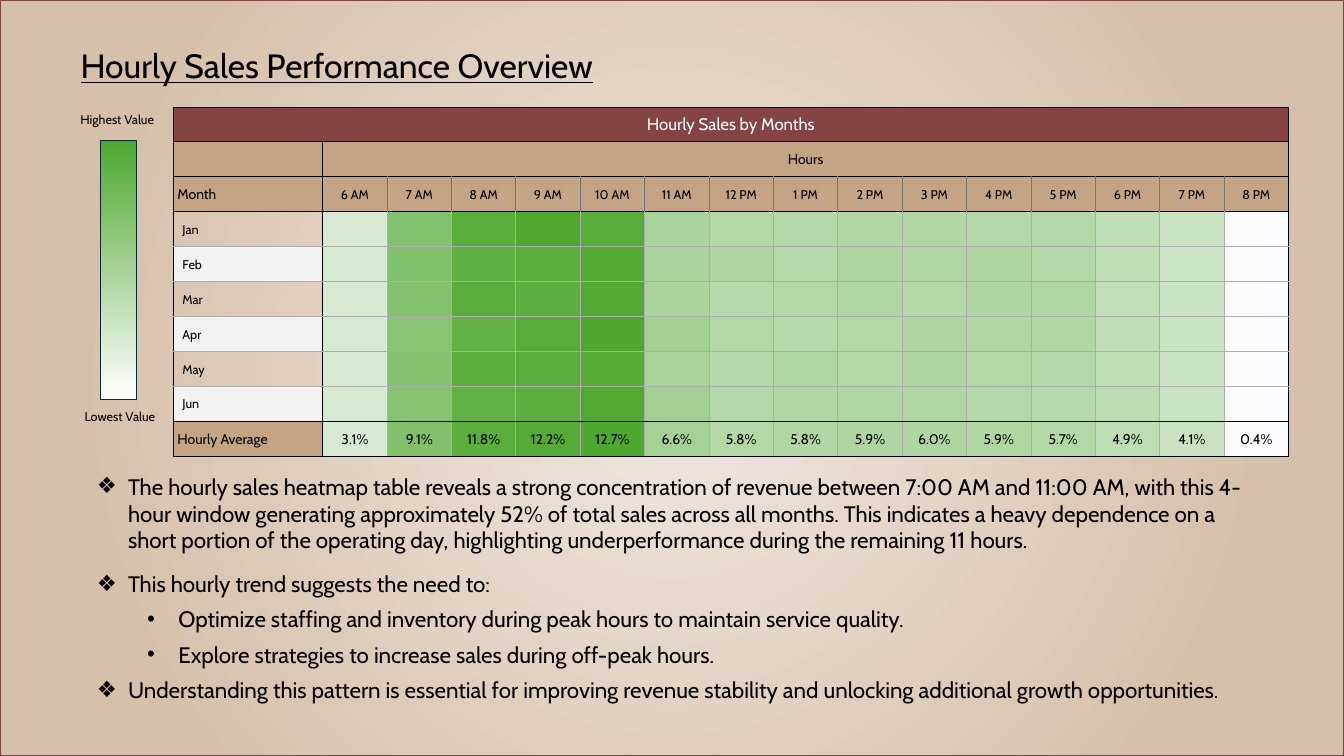
from dataclasses import dataclass
from typing import Optional

from lxml import etree
from pptx import Presentation
from pptx import util as u
from pptx.dml.color import RGBColor
from pptx.enum import shapes, text
from pptx.oxml import ns

FONT = "Cabin"
BLACK = RGBColor(0x00, 0x00, 0x00)
WHITE = RGBColor(0xFF, 0xFF, 0xFF)
MAROON = RGBColor(0x85, 0x43, 0x44)
TAN = RGBColor(0xC4, 0xA4, 0x84)
BAND = RGBColor(0xF2, 0xF2, 0xF2)
GRID = RGBColor(0xAD, 0xAD, 0xAD)
HEADER_GRID = RGBColor(0x74, 0x74, 0x74)
GREEN = RGBColor(0x4E, 0xA7, 0x2E)
NAVY = RGBColor(0x09, 0x2A, 0x39)
CREAM = RGBColor(0xF0, 0xE8, 0xE0)
SAND = RGBColor(0xD6, 0xC0, 0xAA)

LEFT, CENTER = text.PP_ALIGN.LEFT, text.PP_ALIGN.CENTER
HOURS = [f"{h} AM" for h in range(6, 12)] + ["12 PM"] + [f"{h} PM" for h in range(1, 9)]
MONTHS = ["Jan", "Feb", "Mar", "Apr", "May", "Jun"]
AVERAGES = [3.1, 9.1, 11.8, 12.2, 12.7, 6.6, 5.8, 5.8, 5.9, 6.0, 5.9, 5.7, 4.9, 4.1, 0.4]
HEAT = [row.split() for row in (
    "D8EAD3 82C16D 59AD3B 50A830 57AC39 AAD49D B1D8A5 B4D9A8 B1D7A4 B0D7A4 B3D8A7 B3D8A7 BEDEB5 CAE4C3 FCFCFF",
    "D6EAD2 80C06A 61B044 5CAE3E 52A933 ABD59E AFD6A2 B5D9A9 ADD5A0 AFD7A3 ADD6A0 B4D9A9 BEDEB4 CBE4C4 FBFCFE",
    "D6EAD1 84C16E 59AD3C 5EAF41 53A933 AAD49C B5D9A9 B2D8A6 AFD7A3 B1D8A5 ADD6A0 AFD7A2 C0DFB7 C8E3C1 FCFCFF",
    "D6EAD1 88C473 63B147 58AC3A 4EA72E A2D093 B2D8A5 B6DAAA B1D8A5 AFD6A2 B0D7A3 B0D7A4 BFDEB5 CAE4C2 FCFCFF",
    "D6EAD2 83C16E 5CAE3F 59AD3B 55AB36 A7D399 B3D9A8 AFD7A2 B2D8A6 AED6A1 B1D8A5 B3D8A7 BEDEB4 CAE4C3 FCFCFF",
    "D6EAD2 86C371 62B146 5CAE3F 52A932 A2D093 B3D8A7 B0D7A3 AFD7A3 AFD7A2 B3D8A7 B5D9A9 BCDDB2 C8E3C0 FBFCFE",
    "D6EAD1 82C06C 5BAD3D 56AB37 4EA72E A4D196 B1D8A5 B1D7A4 AFD6A2 AED6A1 AFD7A2 B1D8A5 BDDDB3 C9E3C1 FCFCFF",
)]
TITLE_ROW, HOURS_ROW, HEADER_ROW, FIRST_MONTH, AVERAGE_ROW = 0, 1, 2, 3, 9
ROWS, COLS = 10, 16


@dataclass
class CellLook:
    fill: Optional[RGBColor]
    words: str = ""
    size: int = 9
    color: RGBColor = BLACK
    align: text.PP_ALIGN = CENTER
    indent: float = 0.01


@dataclass
class Label:
    words: str
    left: float
    top: float
    width: float


@dataclass
class Point:
    words: str
    after: int
    level: int = 0


LABELS = [Label("Highest Value", 0.7, 1.06, 1.04), Label("Lowest Value", 0.74, 4.01, 0.99)]
POINTS = [
    Point("The hourly sales heatmap table reveals a strong concentration of revenue between "
          "7:00 AM and 11:00 AM, with this 4-hour window generating approximately 52% of total "
          "sales across all months. This indicates a heavy dependence on a short portion of the "
          "operating day, highlighting underperformance during the remaining 11 hours.", 12),
    Point("This hourly trend suggests the need to:", 6),
    Point("Optimize staffing and inventory during peak hours to maintain service quality.", 6, 1),
    Point("Explore strategies to increase sales during off-peak hours.", 6, 1),
    Point("Understanding this pattern is essential for improving revenue stability and unlocking "
          "additional growth opportunities.", 12),
]


def write(p, words: str, *, size: float, color: RGBColor = BLACK,
          align: text.PP_ALIGN = LEFT, underline: Optional[bool] = None) -> None:
    p.alignment = align
    r = p.add_run()
    r.text = words
    r.font.name, r.font.size, r.font.underline = FONT, u.Pt(size), underline
    r.font.color.rgb = color


def place(sp, left: float, top: float, width: float, height: float) -> None:
    sp.left, sp.top = u.Inches(left), u.Inches(top)
    sp.width, sp.height = u.Inches(width), u.Inches(height)
    tf = sp.text_frame
    tf.word_wrap = True
    tf.auto_size = text.MSO_AUTO_SIZE.NONE
    tf.vertical_anchor = text.MSO_ANCHOR.TOP


def set_gradient(fill, start: RGBColor, end: RGBColor, end_at: float = 1.0) -> None:
    fill.gradient()
    for stop, color, position in zip(fill.gradient_stops, (start, end), (0, end_at)):
        stop.color.rgb, stop.position = color, position


def paint_background(s) -> None:
    set_gradient(s.background.fill, CREAM, SAND, 0.78)
    lin = next(s.element.iter(ns.qn("a:lin")))
    grad = lin.getparent()
    grad.remove(lin)
    circle = etree.SubElement(grad, ns.qn("a:path"), path="circle")
    etree.SubElement(circle, ns.qn("a:fillToRect"), l="50000", t="50000", r="50000", b="50000")


def add_box(s, left: float, top: float, width: float, height: float, line: RGBColor, weight: float):
    sp = s.shapes.add_shape(shapes.MSO_SHAPE.RECTANGLE, u.Inches(left), u.Inches(top),
                            u.Inches(width), u.Inches(height))
    sp.shadow.inherit = False
    sp.fill.background()
    sp.line.color.rgb, sp.line.width = line, u.Pt(weight)
    return sp


def look_of(row: int, col: int) -> CellLook:
    if row == TITLE_ROW:
        return CellLook(MAROON, "" if col else "Hourly Sales by Months", 12, WHITE)
    if row == HOURS_ROW:
        return CellLook(TAN, "Hours" if col == 1 else "", 10)
    if row == HEADER_ROW:
        return CellLook(TAN, HOURS[col - 1]) if col else CellLook(TAN, "Month", 10, align=LEFT, indent=0.04)
    month = row - FIRST_MONTH
    if col:
        words = f"{AVERAGES[col - 1]:.1f}%" if row == AVERAGE_ROW else ""
        return CellLook(RGBColor.from_string(HEAT[month][col - 1]), words, 10)
    if row == AVERAGE_ROW:
        return CellLook(TAN, "Hourly Average", 10, align=LEFT, indent=0.04)
    return CellLook(BAND if month % 2 else None, MONTHS[month], align=LEFT, indent=0.09)


def column_edge(row: int, edge: int) -> RGBColor:
    if edge in (0, 1, COLS) or row < HEADER_ROW:
        return BLACK
    return HEADER_GRID if row == HEADER_ROW else GRID


def row_edge(edge: int) -> RGBColor:
    return GRID if FIRST_MONTH < edge < AVERAGE_ROW else BLACK


def draw_cell(cell, row: int, col: int) -> None:
    look = look_of(row, col)
    cell.margin_left = u.Inches(look.indent)
    cell.margin_right = cell.margin_top = u.Inches(0.01)
    cell.margin_bottom = 0
    cell.vertical_anchor = text.MSO_ANCHOR.MIDDLE
    edges = {"lnL": column_edge(row, col), "lnR": column_edge(row, col + 1),
             "lnT": row_edge(row), "lnB": row_edge(row + 1)}
    props = cell._tc.get_or_add_tcPr()
    for tag, color in edges.items():
        ln = etree.SubElement(props, ns.qn(f"a:{tag}"), w=str(u.Pt(0.5)))
        solid = etree.SubElement(ln, ns.qn("a:solidFill"))
        etree.SubElement(solid, ns.qn("a:srgbClr"), val=str(color))
    if look.fill is None:
        cell.fill.background()
    else:
        cell.fill.solid()
        cell.fill.fore_color.rgb = look.fill
    if look.words:
        write(cell.text_frame.paragraphs[0], look.words, size=look.size, color=look.color, align=look.align)


def add_heatmap(s) -> None:
    table = s.shapes.add_table(ROWS, COLS, u.Inches(1.72), u.Inches(1.06),
                               u.Inches(11.06), u.Inches(3.47)).table
    table.first_row = table.horz_banding = False
    for col, column in enumerate(table.columns):
        column.width = u.Inches((11.06 - 1.48) / (COLS - 1) if col else 1.48)
    for row in range(ROWS):
        for col in range(COLS):
            draw_cell(table.cell(row, col), row, col)
    for row, first in ((TITLE_ROW, 0), (HOURS_ROW, 1)):
        table.cell(row, first).merge(table.cell(row, COLS - 1))


def add_points(tf) -> None:
    for i, point in enumerate(POINTS):
        p = tf.add_paragraph() if i else tf.paragraphs[0]
        p.level = point.level
        p.space_before, p.space_after = u.Pt(0), u.Pt(point.after)
        write(p, point.words, size=16)
        props = p._p.get_or_add_pPr()
        props.set("marL", str(u.Inches(0.31 + 0.5 * point.level)))
        props.set("indent", str(u.Inches(-0.31)))
        etree.SubElement(props, ns.qn("a:buFont"), typeface="Arial")
        etree.SubElement(props, ns.qn("a:buChar"), char="•" if point.level else "❖")


def main() -> None:
    prs = Presentation()
    prs.slide_width, prs.slide_height = u.Inches(13.33), u.Inches(7.5)
    s = prs.slides.add_slide(prs.slide_layouts[1])
    paint_background(s)
    add_heatmap(s)
    scale = add_box(s, 0.99, 1.39, 0.36, 2.57, NAVY, 0.25)
    set_gradient(scale.fill, WHITE, GREEN)
    scale.fill.gradient_angle = 90
    for label in LABELS:
        sp = s.shapes.add_textbox(0, 0, 0, 0)
        place(sp, label.left, label.top, label.width, 0.25)
        write(sp.text_frame.paragraphs[0], label.words, size=9)
    title, body = s.shapes.title, s.placeholders[1]
    place(title, 0.7, 0.4, 6.95, 0.5)
    write(title.text_frame.paragraphs[0], "Hourly Sales Performance Overview", size=24, underline=True)
    place(body, 0.86, 4.64, 11.83, 2.68)
    add_points(body.text_frame)
    add_box(s, 0, 0, 13.33, 7.5, MAROON, 1.5)
    prs.save("out.pptx")


if __name__ == "__main__":
    main()
